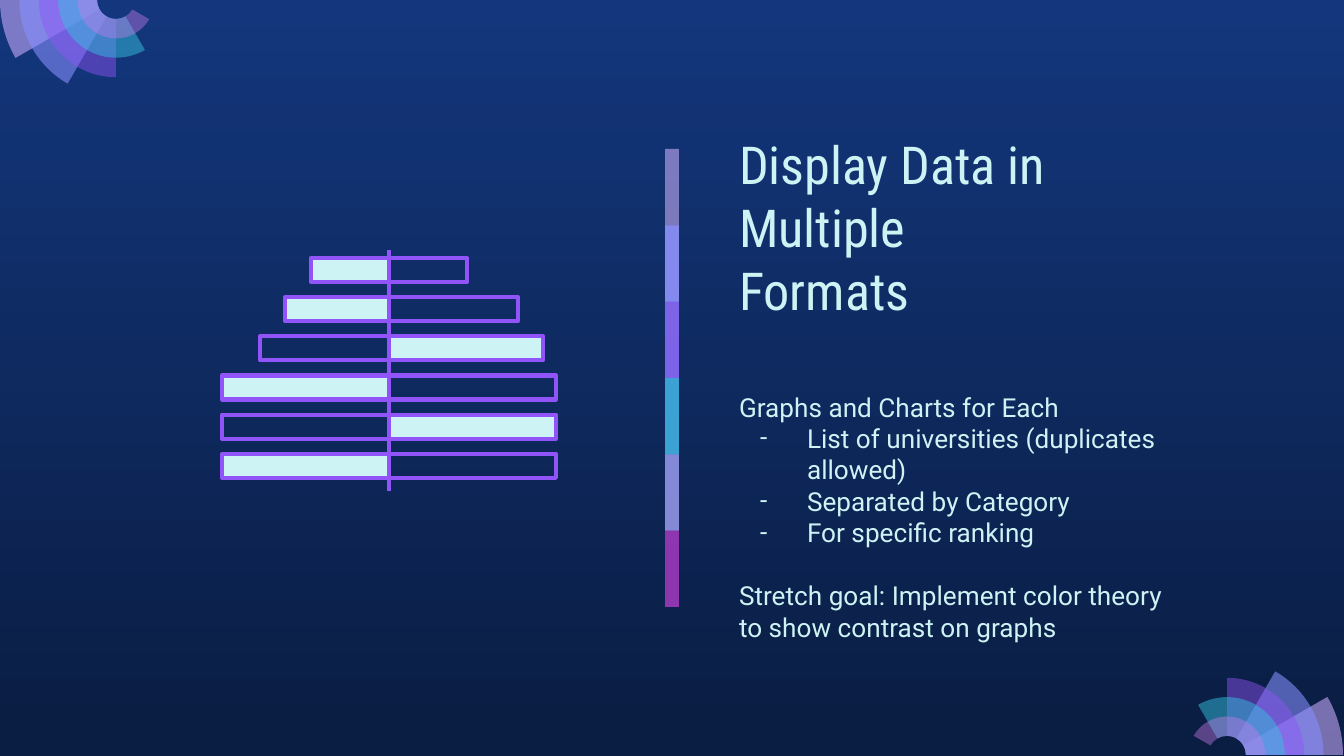
from math import cos, radians, sin, tan

from lxml.etree import SubElement
from pptx import Presentation
from pptx.dml.color import RGBColor
from pptx.enum.shapes import MSO_CONNECTOR, MSO_SHAPE
from pptx.enum.text import MSO_ANCHOR, MSO_AUTO_SIZE, PP_ALIGN
from pptx.oxml.ns import qn
from pptx.util import Inches, Pt

THEME = {
    "bg_top": "13367C", "bg_bottom": "0A1D42",
    "text": "CEF3F5", "outline": "9154F8", "bar": "CEF3F5",
    "title_font": "Roboto Condensed", "title_size": 28,
    "body_font": "Roboto", "body_size": 14, "line": 2.25,
}
TITLE = "Display Data in Multiple Formats"
TITLE_BOX = (726, 177, 355, 157)
BODY = [
    ("Graphs and Charts for Each", False, 0),
    ("List of universities (duplicates allowed)", True, 0),
    ("Separated by Category", True, 0),
    ("For specific ranking", True, 0),
    ("Stretch goal: Implement color theory to show contrast on graphs", False, 17),
]
BODY_BOX = (726, 378, 468, 278)
INSET, BULLET_MARGIN, BULLET_INDENT = 13, 68, -47

STRIP = [("C8AEF8", 59), ("878FFF", 74), ("9154F8", 53),
         ("35C2DF", 76), ("CA7BEB", 56), ("972CB4", 74)]
STRIP_BOX = (665, 149, 14, 458)

FAN = [("C8ACFD", 58), ("878FFF", 58), ("9154F8", 46),
       ("35C2DF", 49), ("CA7BEB", 42)]
FAN_CENTRES = [(1227, 755, 0), (116, 0, 180)]
FAN_OUTER, FAN_INNER, FAN_STEP = 116, 19, 30

BARS = [(78, 78, "left"), (104, 129, "left"), (129, 154, "right"),
        (167, 167, "left"), (167, 167, "right"), (167, 167, "left")]
AXIS_X, AXIS_TOP, AXIS_BOTTOM = 389, 250, 491
BAR_TOP, BAR_LAST, BAR_HEIGHT = 258, 454, 24

SCALE = Inches(10) / 1344


def px(n):
    return round(n * SCALE)


def rgb(name):
    return RGBColor.from_string(THEME.get(name, name))


def paint(sp, color, alpha=100):
    sp.shadow.inherit = False
    sp.fill.solid()
    sp.fill.fore_color.rgb = rgb(color)
    if alpha < 100:
        clr = sp.element.spPr.find(".//" + qn("a:srgbClr"))
        SubElement(clr, qn("a:alpha"), val=str(alpha * 1000))
    sp.line.fill.background()


def outline(sp):
    sp.line.color.rgb = rgb("outline")
    sp.line.width = Pt(THEME["line"])
    SubElement(sp.element.spPr.find(qn("a:ln")), qn("a:round"))


def add_rect(s, x, y, w, h):
    return s.shapes.add_shape(MSO_SHAPE.RECTANGLE, px(x), px(y), px(w), px(h))


def set_frame(tf, anchor):
    tf.word_wrap = True
    tf.auto_size = MSO_AUTO_SIZE.NONE
    tf.vertical_anchor = anchor
    tf.margin_left = tf.margin_right = tf.margin_top = tf.margin_bottom = px(INSET)


def style(p, kind):
    p.alignment = PP_ALIGN.LEFT
    p.font.name = THEME[kind + "_font"]
    p.font.size = Pt(THEME[kind + "_size"])
    p.font.color.rgb = rgb("text")


def add_strip(s):
    x, y, w, h = STRIP_BOX
    step = h / len(STRIP)
    for i, (color, alpha) in enumerate(STRIP):
        span = min(2, len(STRIP) - i)
        paint(add_rect(s, x, y + i * step, w, span * step), color, alpha)


def add_title(s):
    title = s.shapes.title
    title.left, title.top, title.width, title.height = map(px, TITLE_BOX)
    tf = title.text_frame
    tf.text = TITLE
    set_frame(tf, MSO_ANCHOR.BOTTOM)
    style(tf.paragraphs[0], "title")


def add_bullet(p):
    pPr = p._p.get_or_add_pPr()
    pPr.set("marL", str(px(BULLET_MARGIN)))
    pPr.set("indent", str(px(BULLET_INDENT)))
    defaults = pPr.find(qn("a:defRPr"))
    for tag, attrs in (("a:buFont", {"typeface": THEME["body_font"]}),
                       ("a:buChar", {"char": "-"})):
        defaults.addprevious(pPr.makeelement(qn(tag), attrs))


def add_body(s):
    tf = s.shapes.add_textbox(*map(px, BODY_BOX)).text_frame
    set_frame(tf, MSO_ANCHOR.TOP)
    for i, (text, bullet, before) in enumerate(BODY):
        p = tf.add_paragraph() if i else tf.paragraphs[0]
        p.text = text
        p.space_before = Pt(before)
        style(p, "body")
        if bullet:
            add_bullet(p)


def polar(cx, cy, radius, angle):
    a = radians(angle)
    return px(cx + radius * cos(a)), px(cy - radius * sin(a))


def curve(sp, line, cx, cy, radius, start, end):
    k = 4 / 3 * tan(radians(end - start) / 4)
    (x0, y0), (x1, y1) = (polar(cx, cy, radius, a) for a in (start, end))
    ox, oy = px(cx), px(cy)
    points = [(x0 + k * (y0 - oy), y0 - k * (x0 - ox)),
              (x1 - k * (y1 - oy), y1 + k * (x1 - ox)), (x1, y1)]
    bezier = line.makeelement(qn("a:cubicBezTo"), {})
    for x, y in points:
        SubElement(bezier, qn("a:pt"), x=str(round(x - sp.left)),
                   y=str(round(y - sp.top)))
    line.getparent().replace(line, bezier)


def add_fan(s, cx, cy, turn):
    ring = (FAN_OUTER - FAN_INNER) / len(FAN)
    for i, (color, alpha) in enumerate(FAN):
        sweep = (i + 1) * FAN_STEP
        angles = [turn + a for a in sorted({0, min(90, sweep), sweep})]
        edge = [(FAN_OUTER - i * ring, a) for a in angles]
        edge += [(FAN_INNER, a) for a in reversed(angles)]
        points = [polar(cx, cy, r, a) for r, a in edge]
        builder = s.shapes.build_freeform(*points[0])
        builder.add_line_segments(points[1:], close=True)
        sp = builder.convert_to_shape()
        lines = sp.element.spPr.findall(".//" + qn("a:lnTo"))
        for line, (r0, a0), (r1, a1) in zip(lines, edge, edge[1:]):
            if r0 == r1:
                curve(sp, line, cx, cy, r0, a0, a1)
        paint(sp, color, alpha)


def add_bars(s):
    step = (BAR_LAST - BAR_TOP) / (len(BARS) - 1)
    for i, (left, right, filled) in enumerate(BARS):
        y = BAR_TOP + i * step
        for side, x, w in (("right", AXIS_X, right), ("left", AXIS_X - left, left)):
            bar = add_rect(s, x, y, w, BAR_HEIGHT)
            paint(bar, "bar")
            if side != filled:
                bar.fill.background()
            outline(bar)
    axis = s.shapes.add_connector(MSO_CONNECTOR.STRAIGHT, px(AXIS_X), px(AXIS_TOP),
                                  px(AXIS_X), px(AXIS_BOTTOM))
    outline(axis)
    SubElement(axis.element.spPr, qn("a:effectLst"))


def main():
    prs = Presentation()
    prs.slide_width, prs.slide_height = px(1344), px(756)
    s = prs.slides.add_slide(prs.slide_layouts[5])
    fill = s.background.fill
    fill.gradient()
    fill.gradient_angle = 270
    for stop, name in zip(fill.gradient_stops, ("bg_top", "bg_bottom")):
        stop.color.rgb = rgb(name)
    add_strip(s)
    add_title(s)
    add_body(s)
    for centre in FAN_CENTRES:
        add_fan(s, *centre)
    add_bars(s)
    prs.save("out.pptx")


if __name__ == "__main__":
    main()
